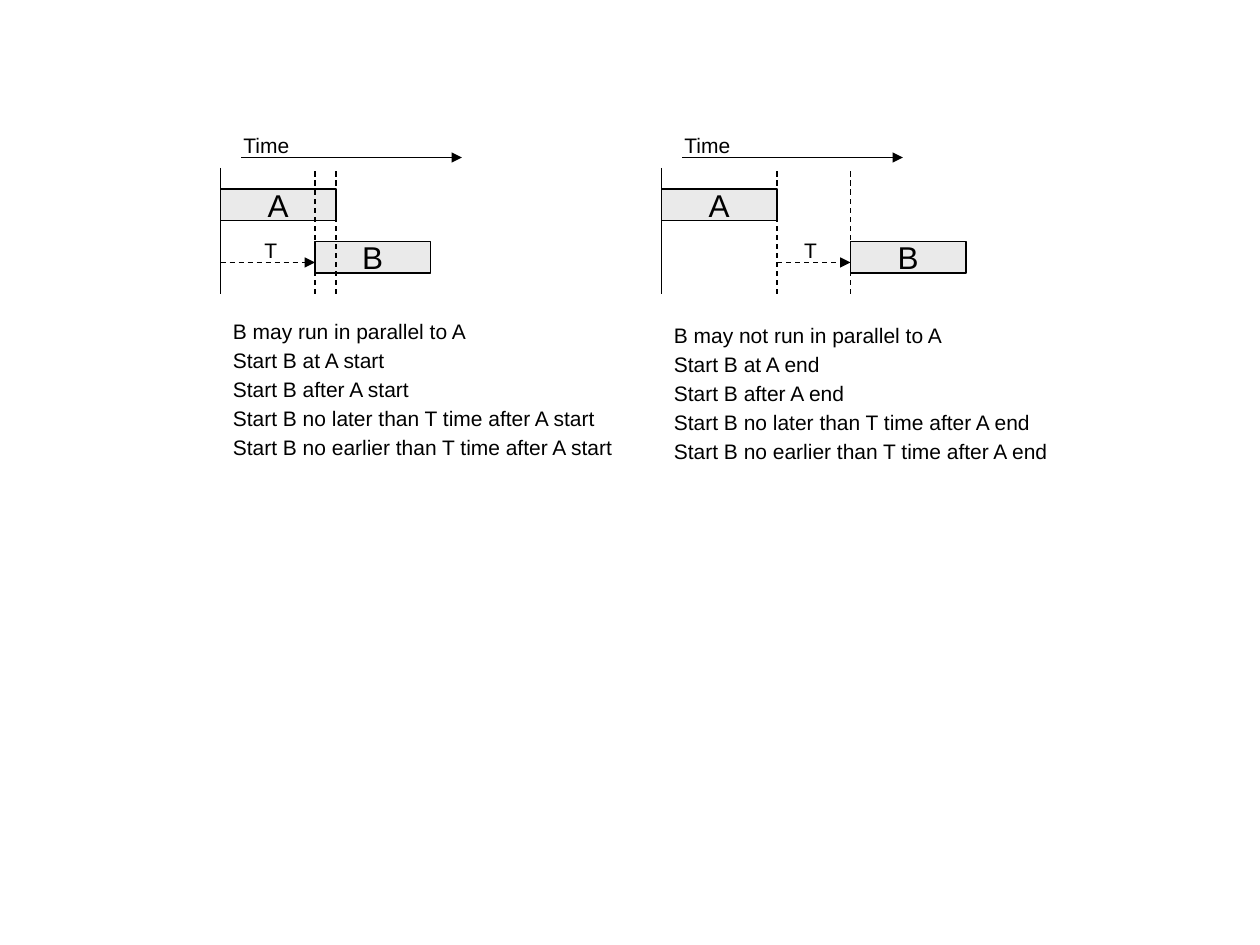
from lxml.etree import SubElement
from pptx import Presentation
from pptx.dml.color import RGBColor
from pptx.enum.dml import MSO_LINE
from pptx.enum.shapes import MSO_CONNECTOR, MSO_SHAPE
from pptx.enum.text import MSO_ANCHOR, MSO_AUTO_SIZE, PP_ALIGN
from pptx.oxml.ns import qn
from pptx.util import Inches, Pt

COLORS = {"ink": "000000", "bar": "EAEAEA"}
COLS, ROWS = 120, 90
BAR_W, BAR_H = 11, 3


def set_all(target, values):
    for name, value in values.items():
        setattr(target, name, value)


class Diagram:
    font = "Arial"
    label_format = {"word_wrap": False, "auto_size": MSO_AUTO_SIZE.SHAPE_TO_FIT_TEXT}
    bar_format = {"word_wrap": False, "vertical_anchor": MSO_ANCHOR.MIDDLE}

    def __init__(self, prs):
        self.s = prs.slides.add_slide(prs.slide_layouts[6])
        self.unit_x = prs.slide_width / COLS
        self.unit_y = prs.slide_height / ROWS

    def place(self, *grid):
        units = (self.unit_x, self.unit_y) * 2
        return [round(n * unit) for n, unit in zip(grid, units)]

    def color(self, name):
        return RGBColor.from_string(COLORS[name])

    def outline(self, line):
        line.color.rgb = self.color("ink")
        line.width = Pt(0.75)

    def fill_text(self, tf, lines, size, **para_format):
        for i, text in enumerate(lines):
            p = tf.add_paragraph() if i else tf.paragraphs[0]
            set_all(p, para_format)
            r = p.add_run()
            r.text = text
            set_all(r.font, {"name": self.font, "size": Pt(size)})
            r.font.color.rgb = self.color("ink")

    def bar(self, text, col, row):
        sp = self.s.shapes.add_shape(
            MSO_SHAPE.RECTANGLE, *self.place(col, row, BAR_W, BAR_H))
        sp.shadow.inherit = False
        sp.fill.solid()
        sp.fill.fore_color.rgb = self.color("bar")
        self.outline(sp.line)
        set_all(sp.text_frame, self.bar_format)
        self.fill_text(sp.text_frame, [text], 18, alignment=PP_ALIGN.CENTER)

    def line(self, *ends, dashed=False, arrow=False):
        cxn = self.s.shapes.add_connector(MSO_CONNECTOR.STRAIGHT, *self.place(*ends))
        self.outline(cxn.line)
        if dashed:
            cxn.line.dash_style = MSO_LINE.DASH
        props = cxn._element.spPr
        if arrow:
            SubElement(props.get_or_add_ln(), qn("a:tailEnd"), type="triangle")
        SubElement(props, qn("a:effectLst"))

    def label(self, lines, col, row, width, height=3.6, **para_format):
        sp = self.s.shapes.add_textbox(*self.place(col, row, width, height))
        set_all(sp.text_frame, self.label_format)
        self.fill_text(sp.text_frame, lines, 12, **para_format)

    def timeline(self, left, b_col, guides, delay_from, t_col, notes, notes_row, notes_width):
        self.bar("A", left, 18)
        self.bar("B", b_col, 23)
        self.line(left, 16, left, 28)
        for col in guides:
            self.line(col, 28, col, 16, dashed=True)
        self.line(delay_from, 25, b_col, 25, dashed=True, arrow=True)
        self.label(["T"], t_col, 22, 3.6)
        self.label(notes, left, notes_row, notes_width, 14.4, line_spacing=1.15)
        self.line(left + 2, 15, left + 23, 15, arrow=True)
        self.label(["Time"], left + 1, 12, 7.4)


def notes_for(relation, event):
    return [f"B {relation} run in parallel to A", f"Start B at A {event}",
            f"Start B after A {event}"] + [
        f"Start B no {limit} than T time after A {event}"
        for limit in ("later", "earlier")]


def main():
    prs = Presentation()
    set_all(prs, {"slide_width": Inches(10), "slide_height": Inches(7.5)})
    diagram = Diagram(prs)
    diagram.timeline(left=21, b_col=30, guides=(30, 21 + BAR_W), delay_from=21,
                     t_col=24, notes=notes_for("may", "start"),
                     notes_row=29.4, notes_width=38.9)
    diagram.timeline(left=63, b_col=81, guides=(63 + BAR_W, 81), delay_from=63 + BAR_W,
                     t_col=75.4, notes=notes_for("may not", "end"),
                     notes_row=29.8, notes_width=38.3)
    prs.save("out.pptx")


if __name__ == "__main__":
    main()
